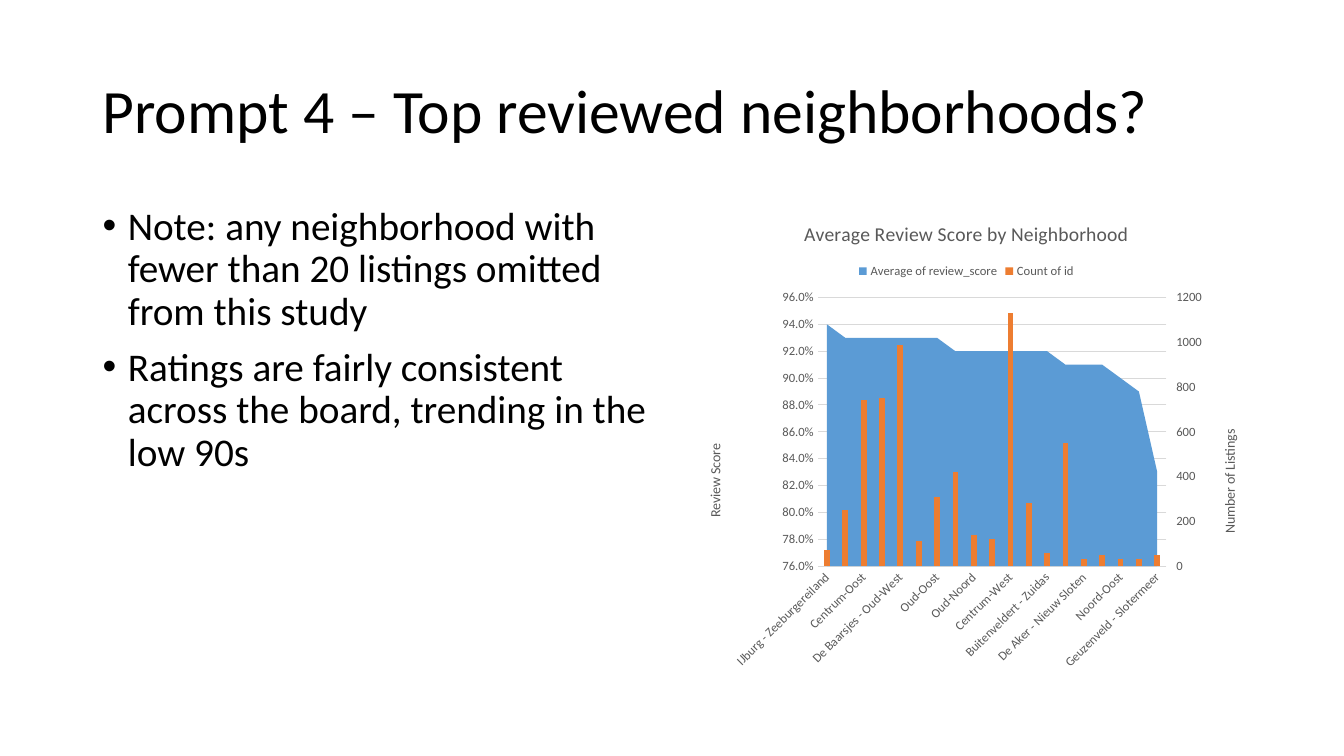
from copy import deepcopy
from dataclasses import dataclass

from lxml import etree
from pptx import Presentation
from pptx.chart.axis import CategoryAxis, ValueAxis
from pptx.chart.chart import Chart
from pptx.chart.data import CategoryChartData
from pptx.dml.color import RGBColor
from pptx.enum.chart import XL_CHART_TYPE, XL_LEGEND_POSITION, XL_TICK_MARK
from pptx.enum.text import MSO_ANCHOR
from pptx.oxml import parse_xml
from pptx.oxml.ns import qn
from pptx.slide import Slide
from pptx.text.text import Font
from pptx.util import Inches, Pt

AREA = XL_CHART_TYPE.AREA
TOP_LEGEND = XL_LEGEND_POSITION.TOP
NO_TICKS = XL_TICK_MARK.NONE
OUTER_TICKS = XL_TICK_MARK.OUTSIDE
MIDDLE = MSO_ANCHOR.MIDDLE
TOP = MSO_ANCHOR.TOP
CHART_NAMESPACE = "http://schemas.openxmlformats.org/drawingml/2006/chart"


@dataclass(frozen=True)
class Theme:
    font: str = "Calibri"
    text: RGBColor = RGBColor(0x00, 0x00, 0x00)
    muted: RGBColor = RGBColor(0x59, 0x59, 0x59)
    grid: RGBColor = RGBColor(0xD9, 0xD9, 0xD9)
    score: RGBColor = RGBColor(0x5B, 0x9B, 0xD5)
    listings: RGBColor = RGBColor(0xED, 0x7D, 0x31)
    title_size: float = 44
    body_size: float = 28
    chart_title_size: float = 14
    axis_title_size: float = 10
    label_size: float = 9
    line_width: float = 0.75


@dataclass(frozen=True)
class TextBlock:
    left: float
    top: float
    width: float
    height: float
    size: float
    anchor: MSO_ANCHOR
    paragraphs: tuple[str, ...]
    bulleted: bool = False


@dataclass(frozen=True)
class ValueScale:
    title: str
    title_left: float
    title_top: float
    minimum: float
    maximum: float
    step: float
    number_format: str
    tick_mark: XL_TICK_MARK


@dataclass(frozen=True)
class Neighborhood:
    name: str
    score: float
    listings: int


THEME = Theme()
TEXT_BLOCKS = (
    TextBlock(0.92, 0.4, 11.5, 1.45, THEME.title_size, MIDDLE,
              ("Prompt 4 – Top reviewed neighborhoods?",)),
    TextBlock(0.92, 2, 5.67, 4.76, THEME.body_size, TOP,
              ("Note: any neighborhood with fewer than 20 listings omitted from this study",
               "Ratings are fairly consistent across the board, trending in the low 90s"), True),
)
SCORE_SCALE = ValueScale("Review Score", 0.04, 0.5, 0.76, 0.96, 0.02, "0.0%", NO_TICKS)
LISTING_SCALE = ValueScale("Number of Listings", 0.94, 0.47, 0, 1200, 200, "General", OUTER_TICKS)
NEIGHBORHOODS = (
    Neighborhood("IJburg - Zeeburgereiland", 0.94, 70),
    Neighborhood("Oostelijk Havengebied - Indische Buurt", 0.93, 250),
    Neighborhood("Centrum-Oost", 0.93, 740),
    Neighborhood("De Pijp - Rivierenbuurt", 0.93, 750),
    Neighborhood("De Baarsjes - Oud-West", 0.93, 990),
    Neighborhood("Slotervaart", 0.93, 110),
    Neighborhood("Oud-Oost", 0.93, 310),
    Neighborhood("Zuid", 0.92, 420),
    Neighborhood("Oud-Noord", 0.92, 140),
    Neighborhood("Watergraafsmeer", 0.92, 120),
    Neighborhood("Centrum-West", 0.92, 1130),
    Neighborhood("Bos en Lommer", 0.92, 280),
    Neighborhood("Buitenveldert - Zuidas", 0.92, 60),
    Neighborhood("Westerpark", 0.91, 550),
    Neighborhood("De Aker - Nieuw Sloten", 0.91, 30),
    Neighborhood("Noord-West", 0.91, 50),
    Neighborhood("Noord-Oost", 0.9, 30),
    Neighborhood("Osdorp", 0.89, 30),
    Neighborhood("Geuzenveld - Slotermeer", 0.83, 50),
)


def style_font(font: Font, size: float, color: RGBColor) -> None:
    font.name = THEME.font
    font.size = Pt(size)
    font.bold = False
    font.color.rgb = color


def add_text(slide: Slide, block: TextBlock) -> None:
    shape = slide.shapes.add_textbox(
        Inches(block.left), Inches(block.top), Inches(block.width), Inches(block.height))
    frame = shape.text_frame
    frame.word_wrap = True
    frame.vertical_anchor = block.anchor
    frame.text = "\n".join(block.paragraphs)
    for paragraph in frame.paragraphs:
        paragraph.line_spacing = 0.9
        style_font(paragraph.runs[0].font, block.size, THEME.text)
        if block.bulleted:
            paragraph.space_before = Pt(10)
            properties = paragraph._p.get_or_add_pPr()
            properties.set("marL", str(Inches(0.25)))
            properties.set("indent", str(-Inches(0.25)))
            etree.SubElement(properties, qn("a:buFont"), typeface="Arial")
            etree.SubElement(properties, qn("a:buChar"), char="•")


def set_layout(parent: etree._Element, index: int, **settings: str | float) -> None:
    for previous in parent.findall(qn("c:layout")):
        parent.remove(previous)
    layout = etree.Element(qn("c:layout"))
    manual = etree.SubElement(layout, qn("c:manualLayout"))
    for name, value in settings.items():
        etree.SubElement(manual, qn(f"c:{name}"), val=str(value))
    parent.insert(index, layout)


def style_value_axis(axis: ValueAxis, scale: ValueScale) -> None:
    axis.minimum_scale = scale.minimum
    axis.maximum_scale = scale.maximum
    axis.major_unit = scale.step
    axis.major_tick_mark = scale.tick_mark
    axis.minor_tick_mark = NO_TICKS
    axis.tick_labels.number_format = scale.number_format
    axis.tick_labels.number_format_is_linked = False
    style_font(axis.tick_labels.font, THEME.label_size, THEME.muted)
    axis.format.line.fill.background()
    axis._element.find(qn("c:crossBetween")).set("val", "between")
    frame = axis.axis_title.text_frame
    frame.text = scale.title
    style_font(frame.paragraphs[0].runs[0].font, THEME.axis_title_size, THEME.muted)
    body = frame._txBody.find(qn("a:bodyPr"))
    body.set("rot", "-5400000")
    body.set("vert", "horz")
    set_layout(axis.axis_title._element, 1, xMode="edge", yMode="edge",
               x=scale.title_left, y=scale.title_top)


def add_listing_columns(chart: Chart, score_axis: ValueAxis) -> ValueAxis:
    plot_area = chart._chartSpace.find(f".//{qn('c:plotArea')}")
    area = plot_area.find(qn("c:areaChart"))
    columns = parse_xml(
        f'<c:barChart xmlns:c="{CHART_NAMESPACE}"><c:barDir val="col"/>'
        '<c:grouping val="clustered"/><c:varyColors val="0"/></c:barChart>')
    columns.append(area.findall(qn("c:ser"))[1])
    etree.SubElement(columns, qn("c:gapWidth"), val="219")
    area.addnext(columns)
    categories = deepcopy(chart.category_axis._element)
    values = deepcopy(score_axis._element)
    for axis, own, other in ((categories, "5001", "5002"), (values, "5002", "5001")):
        etree.SubElement(columns, qn("c:axId"), val=own)
        axis.find(qn("c:axId")).set("val", own)
        axis.find(qn("c:crossAx")).set("val", other)
    score_axis._element.addnext(values)
    values.addnext(categories)
    values.find(qn("c:axPos")).set("val", "r")
    for crossing in values.findall(qn("c:crosses")):
        values.remove(crossing)
    values.find(qn("c:crossAx")).addnext(etree.Element(qn("c:crosses"), val="max"))
    CategoryAxis(categories).visible = False
    listing_axis = ValueAxis(values)
    listing_axis.has_major_gridlines = False
    set_layout(plot_area, 0, layoutTarget="inner", xMode="edge", yMode="edge",
               x=0.24, y=0.2, w=0.61, h=0.56)
    return listing_axis


def add_review_chart(slide: Slide) -> None:
    data = CategoryChartData()
    data.categories = [place.name for place in NEIGHBORHOODS]
    data.add_series("Average of review_score", [place.score for place in NEIGHBORHOODS], "0.0%")
    data.add_series("Count of id", [place.listings for place in NEIGHBORHOODS])
    chart = slide.shapes.add_chart(
        AREA, Inches(6.75), Inches(2), Inches(5.67), Inches(4.76), data).chart
    style_font(chart.font, THEME.axis_title_size, THEME.text)
    chart.plots[0].vary_by_categories = False
    for series, color in zip(chart.plots[0].series, (THEME.score, THEME.listings)):
        series.format.fill.solid()
        series.format.fill.fore_color.rgb = color
    title = chart.chart_title.text_frame
    title.text = "Average Review Score by Neighborhood"
    style_font(title.paragraphs[0].runs[0].font, THEME.chart_title_size, THEME.muted)
    chart.has_legend = True
    chart.legend.position = TOP_LEGEND
    chart.legend.include_in_layout = False
    style_font(chart.legend.font, THEME.label_size, THEME.muted)
    category_axis = chart.category_axis
    score_axis = chart.value_axis
    category_axis.major_tick_mark = NO_TICKS
    category_axis.minor_tick_mark = NO_TICKS
    style_font(category_axis.tick_labels.font, THEME.label_size, THEME.muted)
    category_axis._element.find(f"{qn('c:txPr')}/{qn('a:bodyPr')}").set("rot", "-2700000")
    listing_axis = add_listing_columns(chart, score_axis)
    score_axis.has_major_gridlines = True
    for line in (category_axis.format.line, score_axis.major_gridlines.format.line):
        line.color.rgb = THEME.grid
        line.width = Pt(THEME.line_width)
    style_value_axis(score_axis, SCORE_SCALE)
    style_value_axis(listing_axis, LISTING_SCALE)


def main() -> None:
    presentation = Presentation()
    presentation.slide_width = Inches(13.33)
    presentation.slide_height = Inches(7.5)
    slide = presentation.slides.add_slide(presentation.slide_layouts[6])
    for block in TEXT_BLOCKS:
        add_text(slide, block)
    add_review_chart(slide)
    presentation.save("out.pptx")


if __name__ == "__main__":
    main()
